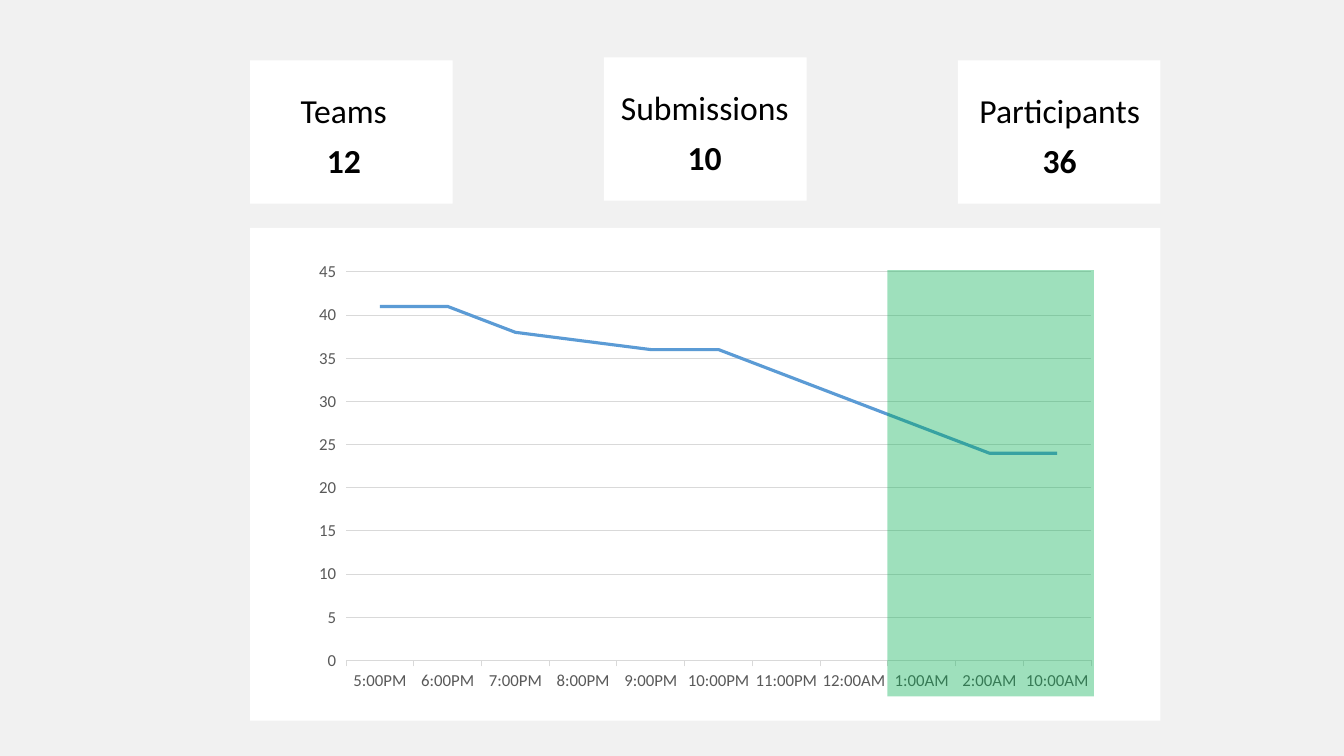
from dataclasses import dataclass

from pptx import Presentation
from pptx.chart.data import CategoryChartData
from pptx.dml.color import RGBColor as RGB
from pptx.enum.chart import XL_CHART_TYPE as ChartType, XL_TICK_MARK as Tick
from pptx.enum.shapes import MSO_SHAPE as Shape
from pptx.enum.text import MSO_AUTO_SIZE as AutoSize, PP_ALIGN as Align
from pptx.oxml import parse_xml
from pptx.oxml.ns import nsdecls, qn
from pptx.util import Inches, Pt


@dataclass(frozen=True)
class Theme:
    font: str = "Calibri"
    backdrop: str = "D9D9D9"
    card: str = "FFFFFF"
    ink: str = "000000"
    axis_text: str = "595959"
    grid: str = "D9D9D9"
    line: str = "5B9BD5"
    highlight: str = "00B050"
    card_size: int = 24
    chart_size: int = 10
    axis_size: int = 12


def rgb(code):
    return RGB.from_string(code)


def style_font(font, *, name, size, color, bold=False):
    font.name, font.size, font.bold = name, Pt(size), bold
    font.color.rgb = rgb(color)


def add_text(tf, text, *, align=Align.CENTER, **font_style):
    p = tf.paragraphs[0]
    p.alignment = align
    r = p.add_run()
    r.text = text
    style_font(r.font, **font_style)


def set_opacity(element, percent):
    """Make the first solid colour inside the element translucent."""
    color = element.find(".//" + qn("a:srgbClr"))
    color.append(parse_xml(f'<a:alpha {nsdecls("a")} val="{percent * 1000}"/>'))


def set_plot_layout(chart, x, y, w, h):
    """Fix the inner plot area, in fractions of the chart frame."""
    plot_area = chart.element.find(".//" + qn("c:plotArea"))
    for old in plot_area.findall(qn("c:layout")):
        plot_area.remove(old)
    sizes = "".join(f'<c:{tag} val="{val}"/>'
                    for tag, val in zip("xywh", (x, y, w, h)))
    plot_area.insert(0, parse_xml(
        f'<c:layout {nsdecls("c")}><c:manualLayout>'
        '<c:layoutTarget val="inner"/><c:xMode val="edge"/><c:yMode val="edge"/>'
        f'{sizes}</c:manualLayout></c:layout>'))


class SlideBuilder:
    def __init__(self, slide, theme):
        self.s, self.theme = slide, theme

    def background(self, color, opacity):
        fill = self.s.background.fill
        fill.solid()
        fill.fore_color.rgb = rgb(color)
        set_opacity(self.s.element, opacity)

    def rect(self, x, y, w, h, color, opacity=None):
        sp = self.s.shapes.add_shape(Shape.RECTANGLE, *map(Inches, (x, y, w, h)))
        sp.shadow.inherit = False
        sp.fill.solid()
        sp.fill.fore_color.rgb = rgb(color)
        sp.line.fill.background()
        if opacity is not None:
            set_opacity(sp.fill._xPr, opacity)

    def label(self, text, center, y, w, bold=False):
        box = self.s.shapes.add_textbox(
            *map(Inches, (center - w / 2, y, w, 0.5)))
        tf = box.text_frame
        tf.word_wrap = False
        tf.auto_size = AutoSize.SHAPE_TO_FIT_TEXT
        t = self.theme
        add_text(tf, text, name=t.font, size=t.card_size, color=t.ink, bold=bold)

    def stat_card(self, title, value, x, y, center, title_w):
        self.rect(x, y, 2.01, 1.42, self.theme.card)
        self.label(title, center, y + 0.24, title_w)
        self.label(value, center, y + 0.74, 0.54, bold=True)

    def line_chart(self, x, y, w, h, name, points):
        t = self.theme
        data = CategoryChartData()
        data.categories = [hour for hour, _ in points]
        data.add_series(name, [count for _, count in points])
        chart = self.s.shapes.add_chart(
            ChartType.LINE, *map(Inches, (x, y, w, h)), data).chart
        chart.has_legend = chart.has_title = False
        style_font(chart.font, name=t.font, size=t.chart_size, color=t.ink)
        set_plot_layout(chart, 0.053, 0.043, 0.926, 0.878)

        # Series
        plot = chart.plots[0]
        plot.vary_by_categories = False
        series = plot.series[0]
        series.smooth = False
        series.format.line.color.rgb = rgb(t.line)
        series.format.line.width = Pt(2.25)

        # Axes and grid
        hours, counts = chart.category_axis, chart.value_axis
        for axis in (hours, counts):
            axis.major_tick_mark, axis.minor_tick_mark = Tick.OUTSIDE, Tick.NONE
            style_font(axis.tick_labels.font, name=t.font, size=t.axis_size,
                       color=t.axis_text)
        counts.minimum_scale, counts.maximum_scale, counts.major_unit = 0, 45, 5
        counts.has_major_gridlines = True
        counts.format.line.fill.background()
        for line in (hours.format.line, counts.major_gridlines.format.line):
            line.color.rgb = rgb(t.grid)
            line.width = Pt(0.75)


# Title, value, card left, card top, text centre, title width
CARDS = [
    ("Teams", "12", 2.48, 0.6, 3.41, 1.07),
    ("Submissions", "10", 5.99, 0.57, 6.99, 1.88),
    ("Participants", "36", 9.5, 0.6, 10.51, 1.81),
]
ACTIVITY = [
    ("5:00PM", 41), ("6:00PM", 41), ("7:00PM", 38), ("8:00PM", 37),
    ("9:00PM", 36), ("10:00PM", 36), ("11:00PM", 33), ("12:00AM", 30),
    ("1:00AM", 27), ("2:00AM", 24), ("10:00AM", 24),
]


def main():
    prs = Presentation()
    prs.slide_width, prs.slide_height = Inches(13.33), Inches(7.5)
    theme = Theme()
    b = SlideBuilder(prs.slides.add_slide(prs.slide_layouts[6]), theme)
    b.background(theme.backdrop, 35)

    # Key figures
    for card in CARDS:
        b.stat_card(*card)

    # Chart panel with the final hours highlighted
    b.rect(2.48, 2.26, 9.03, 4.89, theme.card)
    b.line_chart(3.01, 2.51, 7.98, 4.39, "Series 1", ACTIVITY)
    b.rect(8.8, 2.68, 2.05, 4.23, theme.highlight, opacity=38)

    prs.save("out.pptx")


if __name__ == "__main__":
    main()
